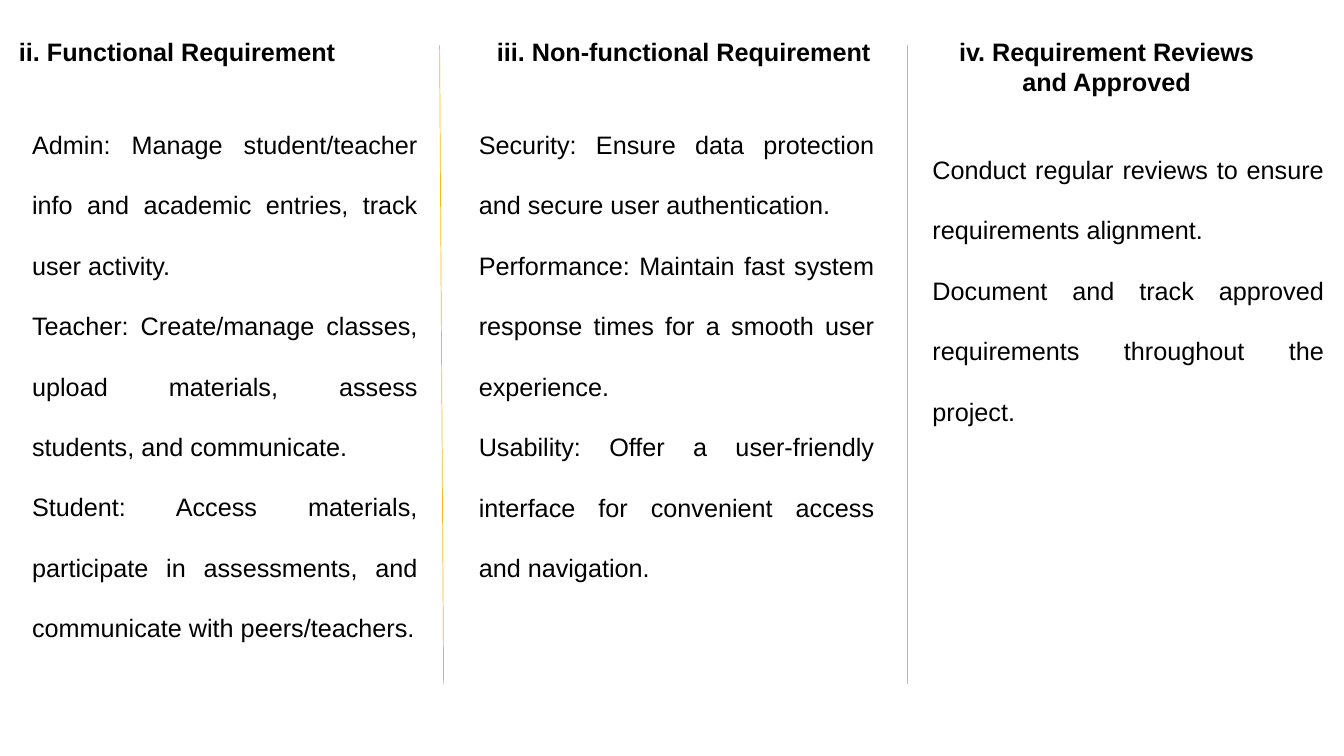
from lxml import etree
from pptx import Presentation
from pptx.dml.color import RGBColor
from pptx.enum.shapes import MSO_CONNECTOR as Connector
from pptx.enum.text import MSO_AUTO_SIZE as AutoSize, PP_ALIGN as Align
from pptx.oxml.ns import qn
from pptx.util import Inches, Pt

BLACK = RGBColor(0x00, 0x00, 0x00)
AMBER = RGBColor(0xF8, 0xBA, 0x16)

# Each column: heading, heading area, wrapped and centred, body area, body
COLUMNS = [
    ("ii. Functional Requirement", (0.09, 0.31, 3.37, 0.4), False,
     (0.22, 0.93, 4.02, 6.16), [
         "Admin: Manage student/teacher info and academic entries, track user activity.",
         "Teacher: Create/manage classes, upload materials, assess students, and communicate.",
         "Student: Access materials, participate in assessments, and communicate with peers/teachers.",
     ]),
    ("iii. Non-functional Requirement", (4.83, 0.31, 3.95, 0.4), False,
     (4.65, 0.93, 4.12, 5.55), [
         "Security: Ensure data protection and secure user authentication.",
         "Performance: Maintain fast system response times for a smooth user experience.",
         "Usability: Offer a user-friendly interface for convenient access and navigation.",
     ]),
    ("iv. Requirement Reviews and Approved", (9.37, 0.31, 3.21, 0.71), True,
     (9.15, 1.18, 4.08, 3.13), [
         "Conduct regular reviews to ensure requirements alignment.",
         "Document and track approved requirements throughout the project.",
     ]),
]

# Top and bottom x of each divider
DIVIDERS = [(9, 9), (4.36, 4.4)]
DIVIDER_TOP, DIVIDER_BOTTOM = 0.45, 6.79


def add_text(slide, area, lines, align, wrap=True, bold=False, spacing=None):
    box = slide.shapes.add_textbox(*map(Inches, area))
    frame = box.text_frame
    frame.word_wrap = wrap
    frame.auto_size = AutoSize.SHAPE_TO_FIT_TEXT
    frame.text = "\n".join(lines)
    for para in frame.paragraphs:
        para.alignment = align
        para.line_spacing = spacing
        for span in para.runs:
            span.font.name = "Arial"
            span.font.size = Pt(18)
            span.font.bold = bold
            span.font.color.rgb = BLACK


def add_divider(slide, top_x, bottom_x):
    line = slide.shapes.add_connector(
        Connector.STRAIGHT, Inches(top_x), Inches(DIVIDER_TOP),
        Inches(bottom_x), Inches(DIVIDER_BOTTOM))
    line.line.color.rgb = AMBER
    line.line.width = Pt(0.5)
    etree.SubElement(line._element.spPr, qn("a:effectLst"))


def main():
    deck = Presentation()
    deck.slide_width = Inches(13.33)
    deck.slide_height = Inches(7.5)
    page = deck.slides.add_slide(deck.slide_layouts[6])

    # Headings and requirement lists
    for heading, heading_area, centred, body_area, body in COLUMNS:
        add_text(page, heading_area, [heading],
                 Align.CENTER if centred else Align.LEFT, wrap=centred, bold=True)
        add_text(page, body_area, body, Align.JUSTIFY, spacing=2.0)

    # Column dividers
    for top_x, bottom_x in DIVIDERS:
        add_divider(page, top_x, bottom_x)

    deck.save("out.pptx")


if __name__ == "__main__":
    main()
